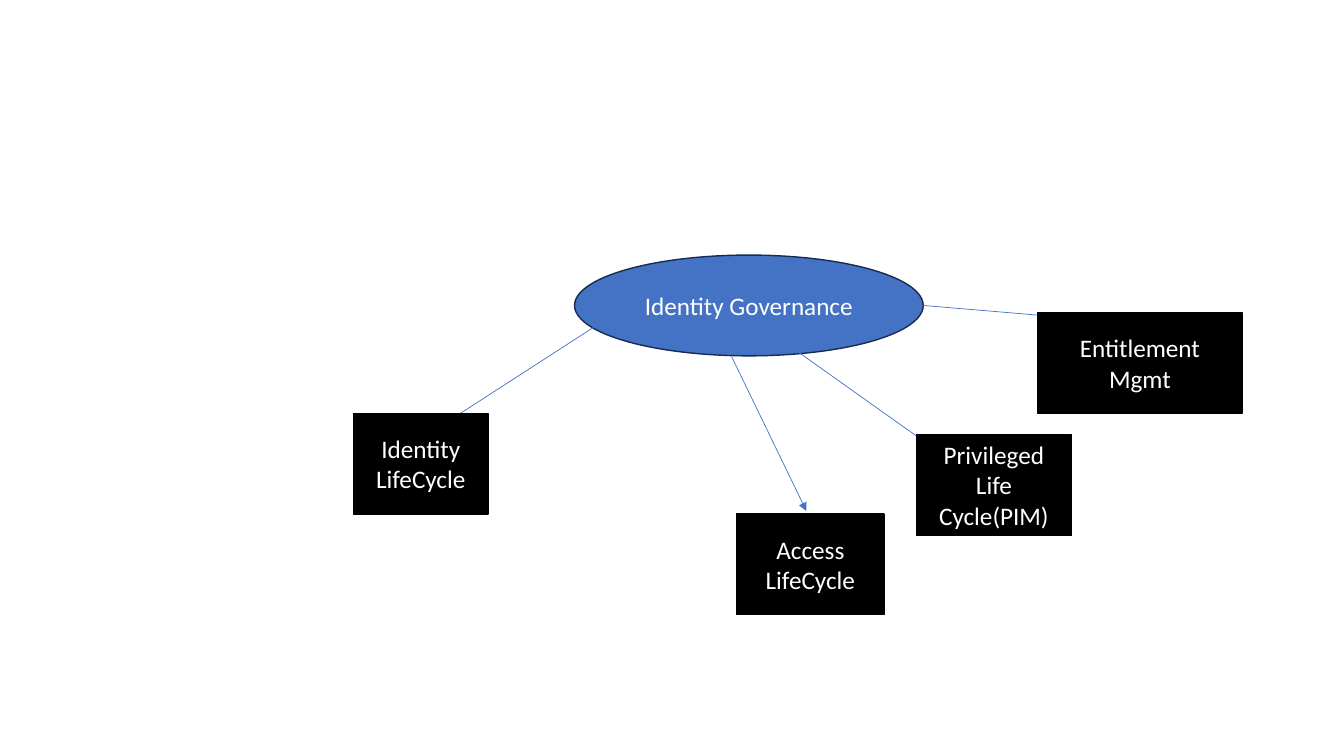
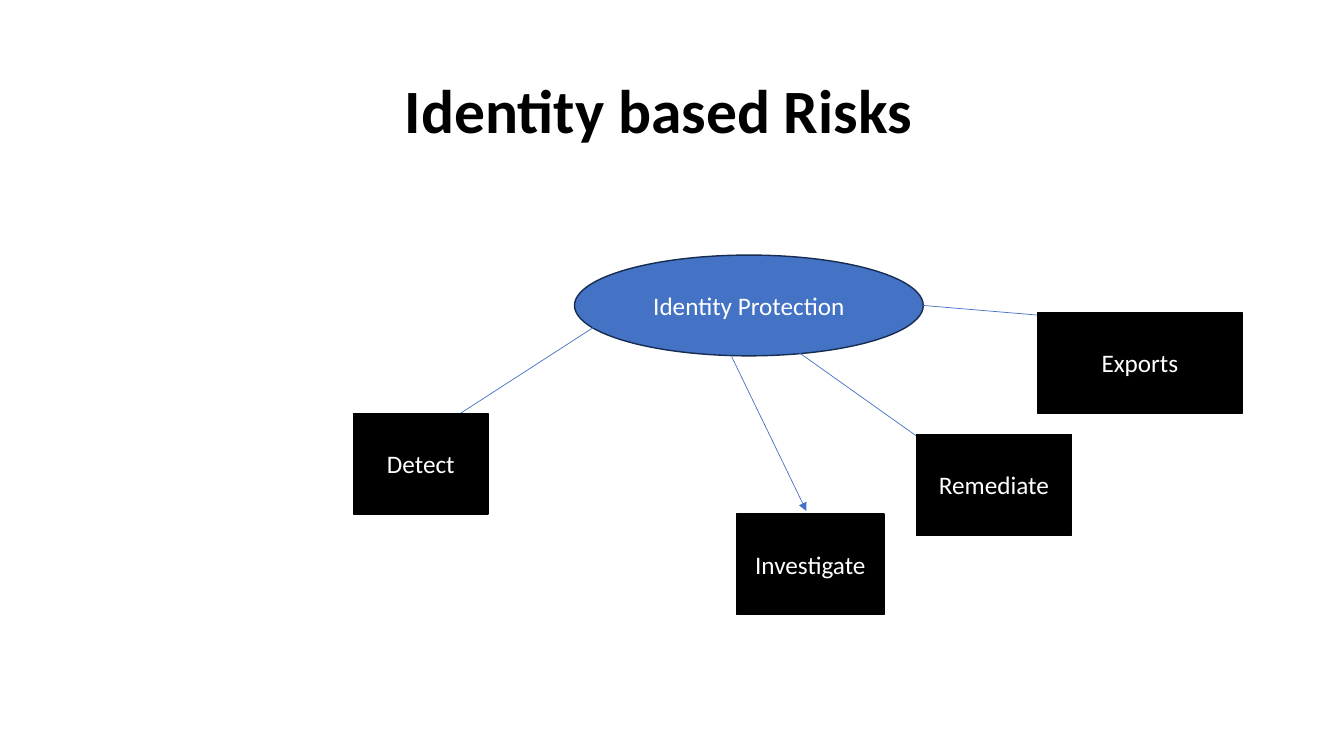
from lxml.etree import SubElement
from pptx import Presentation
from pptx.dml.color import RGBColor
from pptx.enum.shapes import MSO_CONNECTOR as Connector, MSO_SHAPE as Shape
from pptx.enum.text import MSO_ANCHOR as Anchor, PP_ALIGN as Align
from pptx.oxml.ns import qn
from pptx.util import Pt

COLORS = {
    "hub": "4472C4",
    "hub_line": "172C51",
    "box": "000000",
    "title": "000000",
    "label": "FFFFFF",
}
FONT = "Calibri"
ROW_HEIGHT = 72
HUB = (410.4, 182.2, 249.1)
BOXES = [
    (252.7, 295.2, 95.8),
    (526.3, 367.2, 105.1),
    (654.6, 310.4, 110.7),
    (741.3, 223.2, 145.9),
]
ARROWS = [
    (424.8, 233.3, 296.6, 316.1),
    (522.7, 254.9, 576, 365),
    (565.9, 248.4, 697.7, 342),
    (659.5, 218.2, 796.3, 229.7),
]


def color(name):
    return RGBColor.from_string(COLORS[name])


def format_runs(paragraph, size, color_name, bold=False):
    for run in paragraph.runs:
        run.font.name = FONT
        run.font.size = Pt(size)
        run.font.bold = bold
        run.font.color.rgb = color(color_name)


def add_node(slide, kind, position, text, fill, line):
    left, top, width = position
    shape = slide.shapes.add_shape(kind, Pt(left), Pt(top), Pt(width), Pt(ROW_HEIGHT))
    shape.shadow.inherit = False
    shape.fill.solid()
    shape.fill.fore_color.rgb = color(fill)
    shape.line.color.rgb = color(line)
    shape.line.width = Pt(1)
    text_frame = shape.text_frame
    text_frame.word_wrap = True
    text_frame.vertical_anchor = Anchor.MIDDLE
    text_frame.text = text
    paragraph = text_frame.paragraphs[0]
    paragraph.alignment = Align.CENTER
    format_runs(paragraph, 18, "label")


def add_arrow(slide, points):
    connector = slide.shapes.add_connector(Connector.STRAIGHT, *map(Pt, points))
    connector.line.color.rgb = color("hub")
    connector.line.width = Pt(0.5)
    SubElement(connector.line._get_or_add_ln(), qn("a:tailEnd"), type="triangle")
    SubElement(connector._element.spPr, qn("a:effectLst"))


def set_title(slide, text):
    title = slide.shapes.title
    title.left, title.top, title.width, title.height = map(Pt, (66, 28.8, 828, 104.4))
    text_frame = title.text_frame
    text_frame.word_wrap = True
    text_frame.vertical_anchor = Anchor.MIDDLE
    text_frame.margin_left = Pt(223.2)
    text_frame.text = text
    paragraph = text_frame.paragraphs[0]
    paragraph.alignment = Align.LEFT
    paragraph.line_spacing = 0.9
    format_runs(paragraph, 44, "title", bold=True)


def add_diagram(slide, hub_text, labels):
    add_node(slide, Shape.OVAL, HUB, hub_text, "hub", "hub_line")
    for points in ARROWS:
        add_arrow(slide, points)
    for position, label in zip(BOXES, labels):
        add_node(slide, Shape.RECTANGLE, position, label, "box", "box")


def main():
    presentation = Presentation()
    presentation.slide_width = Pt(960)
    presentation.slide_height = Pt(540)
    title_only, blank = presentation.slide_layouts[5], presentation.slide_layouts[6]

    governance = presentation.slides.add_slide(blank)
    add_diagram(governance, "Identity Governance", [
        "Identity LifeCycle",
        "Access LifeCycle",
        "Privileged Life Cycle(PIM)",
        "Entitlement Mgmt",
    ])

    risks = presentation.slides.add_slide(title_only)
    set_title(risks, "Identity based Risks")
    add_diagram(risks, "Identity Protection", ["Detect", "Investigate", "Remediate", "Exports"])

    presentation.save("out.pptx")


if __name__ == "__main__":
    main()
